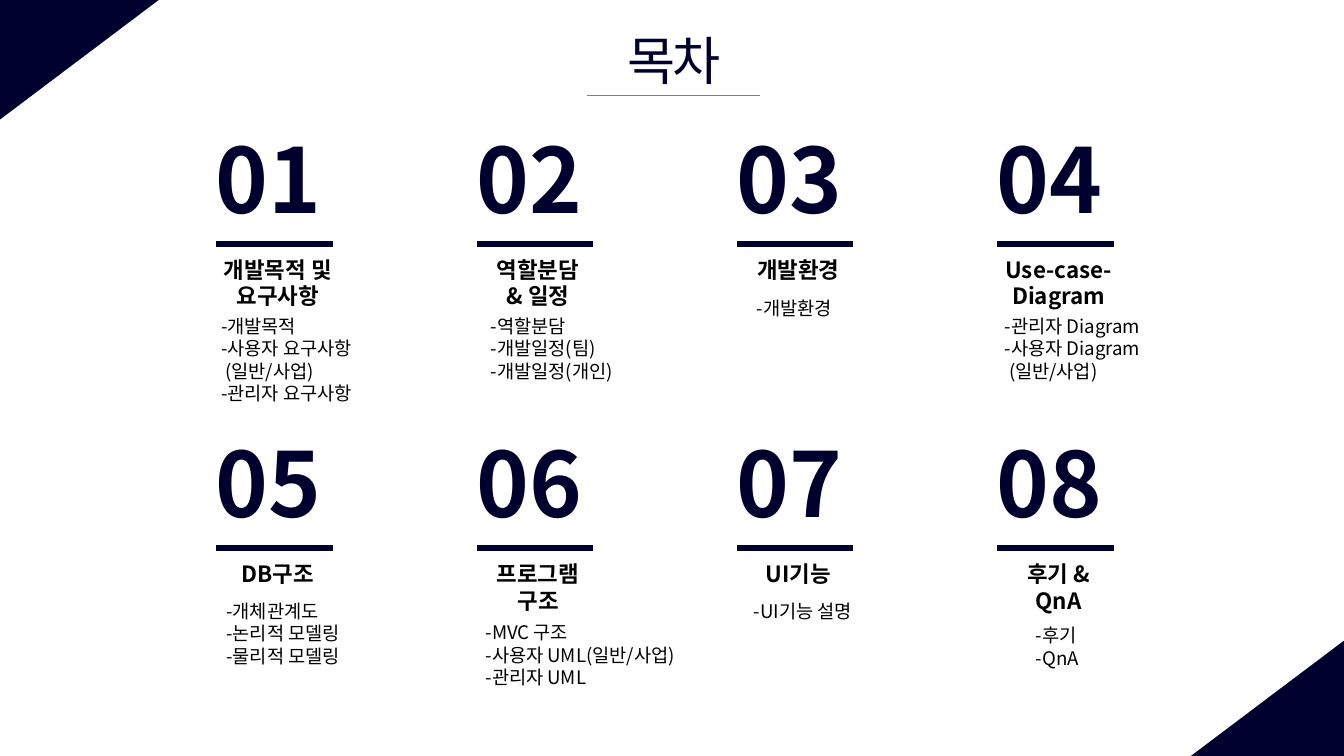
from lxml.etree import SubElement
from pptx import Presentation
from pptx.dml.color import RGBColor
from pptx.enum.shapes import MSO_CONNECTOR, MSO_SHAPE
from pptx.enum.text import MSO_ANCHOR, PP_ALIGN
from pptx.oxml.ns import qn
from pptx.util import Cm, Pt

FONT = "Noto Sans CJK KR"
NAVY, BLACK, GRAY = "00002F", "000000", "808080"
SLIDE_W, SLIDE_H = 25.4, 14.29
LEFT, TOP, COL_STEP, ROW_STEP = 3.55, 2.21, 4.92, 5.75
COLUMNS = 4

# number, heading lines, item lines, item offset from the section's corner
SECTIONS = [
    ("01", ["개발목적 및", "요구사항"],
     ["-개발목적", "-사용자 요구사항", "(일반/사업)", "-관리자 요구사항"], (0.38, 3.61)),
    ("02", ["역할분담", "& 일정"],
     ["-역할분담", "-개발일정(팀)", "-개발일정(개인)"], (0.56, 3.61)),
    ("03", ["개발환경"], ["-개발환경"], (0.66, 3.28)),
    ("04", ["Use-case-", "Diagram"],
     ["-관리자 Diagram", "-사용자 Diagram", "(일반/사업)"], (0.43, 3.61)),
    ("05", ["DB구조"],
     ["-개체관계도", "-논리적 모델링", "-물리적 모델링"], (0.48, 3.25)),
    ("06", ["프로그램", "구조"],
     ["-MVC 구조", "-사용자 UML(일반/사업)", "-관리자 UML"], (0.46, 3.66)),
    ("07", ["UI기능"], ["-UI기능 설명"], (0.61, 3.25)),
    ("08", ["후기 &", "QnA"], ["-후기", "-QnA"], (1.02, 3.71)),
]


def rgb(color):
    """Turn a hex string into a colour."""
    return RGBColor.from_string(color)


def format_text(tf, lines, size, color, bold=False, align=PP_ALIGN.LEFT):
    """Fill a text frame with one paragraph per line and format its runs."""
    tf.word_wrap = True
    tf.vertical_anchor = MSO_ANCHOR.TOP
    tf.text = "\n".join(lines)
    for p in tf.paragraphs:
        p.alignment = align
        if p.text.startswith("("):
            p._p.get_or_add_pPr().set("marL", str(Cm(0.08)))
        for r in p.runs:
            r.font.size = Pt(size)
            r.font.bold = bold
            r.font.color.rgb = rgb(color)
            r.font.name = FONT
            SubElement(r._r.get_or_add_rPr(), qn("a:ea")).set("typeface", FONT)


def add_text(s, x, y, w, h, lines, size, color, **style):
    """Add a text box."""
    sp = s.shapes.add_textbox(Cm(x), Cm(y), Cm(w), Cm(h))
    format_text(sp.text_frame, lines, size, color, **style)


def add_rule(s, x, y, w, color, weight):
    """Add a horizontal line without a shadow."""
    line = s.shapes.add_connector(MSO_CONNECTOR.STRAIGHT, Cm(x), Cm(y), Cm(x + w), Cm(y))
    line.line.color.rgb = rgb(color)
    line.line.width = Pt(weight)
    SubElement(line._element.spPr, qn("a:effectLst"))


def add_corner(s, x, y, w, h, rotation):
    """Fill a box with a right triangle turned on its side."""
    sp = s.shapes.add_shape(MSO_SHAPE.RIGHT_TRIANGLE, Cm(x + (w - h) / 2),
                            Cm(y + (h - w) / 2), Cm(h), Cm(w))
    sp.rotation = rotation
    sp.shadow.inherit = False
    sp.fill.solid()
    sp.fill.fore_color.rgb = rgb(NAVY)
    sp.line.fill.background()


def add_title(s, x, y, w, h, text):
    """Place the slide title and the thin rule under it."""
    sp = s.shapes.title
    sp.left, sp.top, sp.width, sp.height = Cm(x), Cm(y), Cm(w), Cm(h)
    format_text(sp.text_frame, [text], 28, NAVY)
    sp.text_frame.paragraphs[0].runs[0]._r.get_or_add_rPr().set("spc", "-150")
    add_rule(s, x - 0.51, y + 1.4, 3.26, GRAY, 0.75)


def add_section(s, x, y, number, heading, items, offset):
    """Place one contents entry: number, rule, heading and items."""
    dx, dy = offset
    add_text(s, x + 0.28, y, 2.6, 2.31, [number], 48, NAVY, bold=True)
    add_text(s, x, y + 2.5, 3.4, 0.5 * len(heading) + 0.27, heading, 12, BLACK,
             bold=True, align=PP_ALIGN.CENTER)
    add_rule(s, x + 0.54, y + 2.4, 2.2, NAVY, 3)
    add_text(s, x + dx, y + dy, 4.27, 0.42 * len(items) + 0.27, items, 10, BLACK)


def main():
    """Build and save the contents slide."""
    prs = Presentation()
    prs.slide_width, prs.slide_height = Cm(SLIDE_W), Cm(SLIDE_H)
    s = prs.slides.add_slide(prs.slide_layouts[5])
    corner_w, corner_h = 3, 2.26
    add_corner(s, 0, 0, corner_w, corner_h, 90)
    add_corner(s, SLIDE_W - corner_w, SLIDE_H - corner_h + 0.08, corner_w, corner_h, 270)
    add_title(s, 11.61, 0.41, 4.11, 1.45, "목차")
    for i, section in enumerate(SECTIONS):
        row, col = divmod(i, COLUMNS)
        add_section(s, LEFT + col * COL_STEP, TOP + row * ROW_STEP, *section)
    prs.save("out.pptx")


if __name__ == "__main__":
    main()
